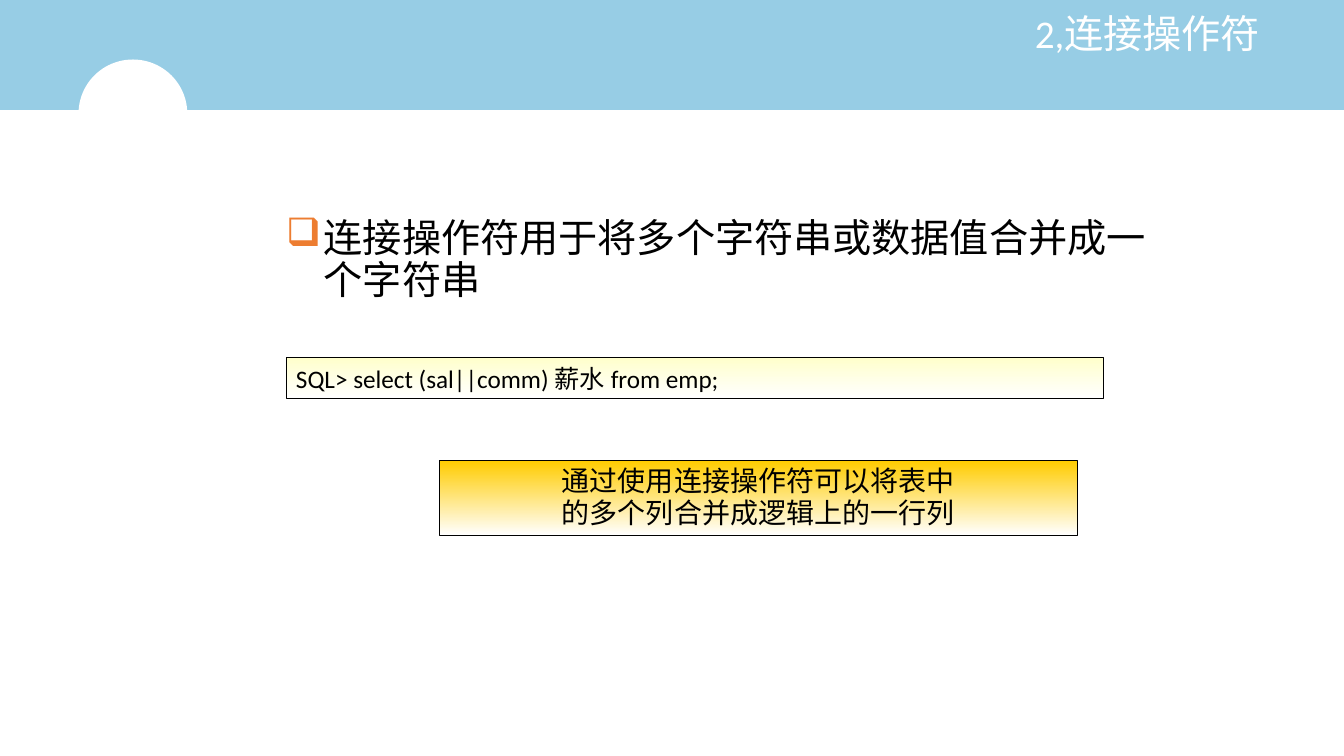
from lxml import etree
from pptx import Presentation, util as u
from pptx.dml.color import RGBColor
from pptx.enum import shapes, text
from pptx.oxml.ns import qn

FONT = "Calibri"
BLACK = RGBColor(0x00, 0x00, 0x00)
WHITE = RGBColor(0xFF, 0xFF, 0xFF)
SKY = RGBColor(0x97, 0xCD, 0xE5)
ORANGE = RGBColor(0xED, 0x7D, 0x31)
CREAM = RGBColor(0xFF, 0xFF, 0xCC)
GOLD = RGBColor(0xFF, 0xCC, 0x00)


def write(tf, lines, size=18, color=BLACK, align=text.PP_ALIGN.LEFT,
          anchor=text.MSO_ANCHOR.MIDDLE, fit=text.MSO_AUTO_SIZE.NONE,
          spacing=1.0, before=0):
    tf.word_wrap = True
    tf.auto_size = fit
    tf.vertical_anchor = anchor
    for i, line in enumerate(lines):
        p = tf.add_paragraph() if i else tf.paragraphs[0]
        p.alignment = align
        p.line_spacing = spacing
        p.space_before = u.Pt(before)
        r = p.add_run()
        r.text = line
        r.font.name = FONT
        r.font.size = u.Pt(size)
        r.font.color.rgb = color


def add_bullet(p, char, color, indent):
    pPr = p._p.get_or_add_pPr()
    pPr.set("marL", str(indent))
    pPr.set("indent", str(-indent))
    clr = etree.SubElement(pPr, qn("a:buClr"))
    etree.SubElement(clr, qn("a:srgbClr")).set("val", str(color))
    etree.SubElement(pPr, qn("a:buChar")).set("char", char)


def add_plain(s, kind, box, color):
    sp = s.shapes.add_shape(kind, *map(u.Cm, box))
    sp.shadow.inherit = False
    sp.fill.solid()
    sp.fill.fore_color.rgb = color
    sp.line.fill.background()


def add_panel(s, box, top_color, lines, **fmt):
    sp = s.shapes.add_shape(shapes.MSO_SHAPE.RECTANGLE, *map(u.Cm, box))
    sp.shadow.inherit = False
    sp.fill.gradient()
    sp.fill.gradient_angle = 270
    for stop, color in zip(sp.fill.gradient_stops, (top_color, WHITE)):
        stop.color.rgb = color
    sp.line.color.rgb = BLACK
    sp.line.width = u.Pt(0.75)
    write(sp.text_frame, lines, fit=text.MSO_AUTO_SIZE.SHAPE_TO_FIT_TEXT, **fmt)


def set_title(s, box, title):
    sp = s.shapes.title
    s.shapes.element.append(sp.element)
    sp.left, sp.top, sp.width, sp.height = map(u.Cm, box)
    write(sp.text_frame, [title], size=28, color=WHITE,
          align=text.PP_ALIGN.RIGHT, spacing=0.9)
    sp.text_frame.margin_bottom = u.Cm(1.22)


def add_point(s, box, line):
    tf = s.shapes.add_textbox(*map(u.Cm, box)).text_frame
    write(tf, [line], size=28, anchor=text.MSO_ANCHOR.TOP, spacing=0.9, before=5.6)
    add_bullet(tf.paragraphs[0], "❑", ORANGE, u.Cm(0.95))


def main():
    prs = Presentation()
    prs.slide_width, prs.slide_height = u.Cm(33.87), u.Cm(19.05)
    s = prs.slides.add_slide(prs.slide_layouts[5])
    add_plain(s, shapes.MSO_SHAPE.RECTANGLE, (0, 0, 33.87, 2.77), SKY)
    add_plain(s, shapes.MSO_SHAPE.OVAL, (1.98, 1.5, 2.74, 2.72), WHITE)
    set_title(s, (19.94, 0.03, 12.07, 2.82), "2,连接操作符")
    add_point(s, (6.96, 5.38, 22.96, 2.31),
              "连接操作符用于将多个字符串或数据值合并成一个字符串")
    add_panel(s, (7.21, 9.02, 20.6, 1.02), CREAM,
              ["SQL> select (sal||comm) 薪水 from emp;"], before=3.6)
    add_panel(s, (11.07, 11.61, 16.08, 1.88), GOLD,
              ["通过使用连接操作符可以将表中", "的多个列合并成逻辑上的一行列"],
              size=20, align=text.PP_ALIGN.CENTER, spacing=0.95)
    prs.save("out.pptx")


if __name__ == "__main__":
    main()
